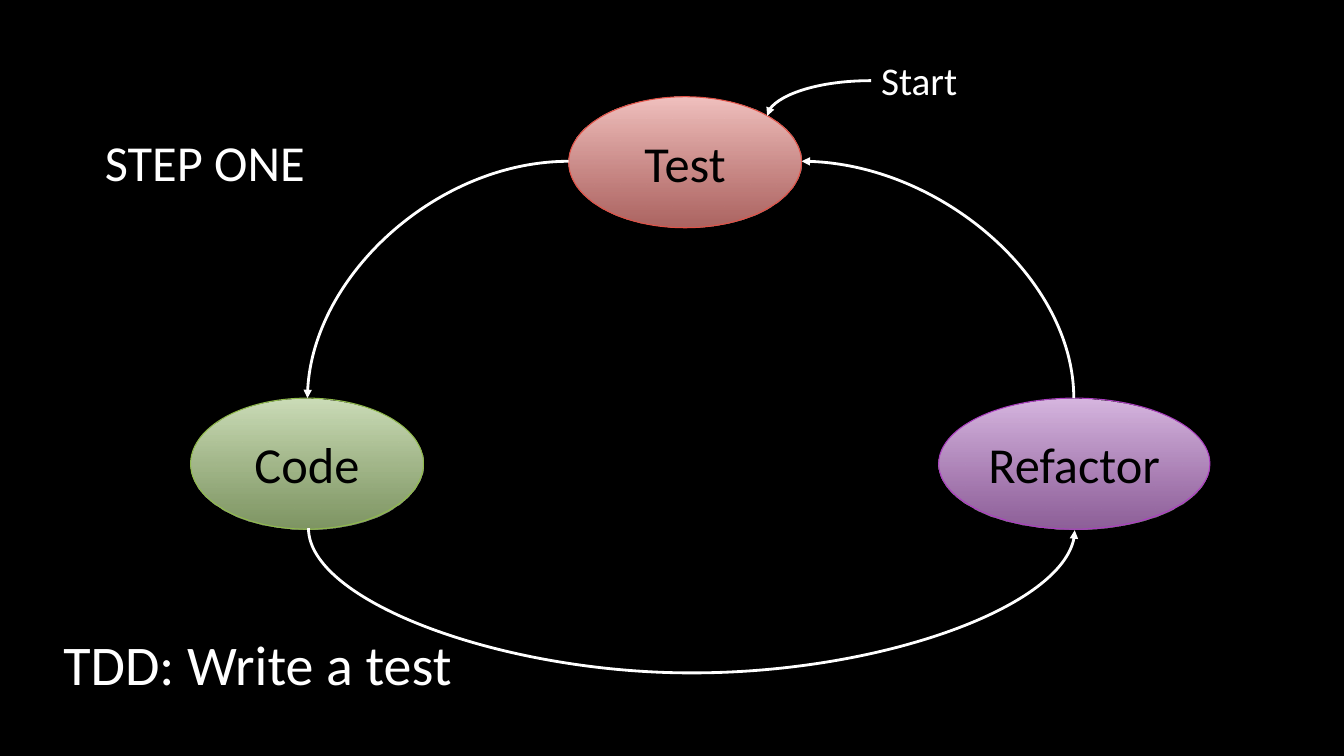
"""Build the test-code-refactor cycle slide."""
from dataclasses import dataclass

from lxml import etree
from pptx import Presentation
from pptx.dml.color import RGBColor
from pptx.enum.shapes import MSO_CONNECTOR, MSO_SHAPE
from pptx.enum.text import MSO_ANCHOR, MSO_AUTO_SIZE, PP_ALIGN
from pptx.oxml.ns import qn
from pptx.util import Inches, Pt

CURVE = MSO_CONNECTOR.CURVE
ELLIPSE = MSO_SHAPE.OVAL
MIDDLE = MSO_ANCHOR.MIDDLE
NO_FIT, GROW = MSO_AUTO_SIZE.NONE, MSO_AUTO_SIZE.SHAPE_TO_FIT_TEXT
LEFT, CENTER = PP_ALIGN.LEFT, PP_ALIGN.CENTER


@dataclass(frozen=True)
class Theme:
    """Colours, font and type sizes of the slide."""
    font: str = "Calibri"
    background: str = "000000"
    light: str = "FFFFFF"
    dark: str = "000000"
    test: tuple = ("F2C2C0", "E88985", "E25247")
    code: tuple = ("CDDEB9", "ABC987", "90BA4C")
    refactor: tuple = ("D8B7E1", "BF82CE", "AC3EC1")
    fade: str = "74000"
    step_size: int = 36
    caption_size: int = 40
    start_size: int = 28


THEME = Theme()


def rgb(value):
    """Return a colour from its hex value."""
    return RGBColor.from_string(value)


def write(frame, text, size, color=THEME.light, align=LEFT):
    """Put one formatted paragraph in a text frame."""
    paragraph = frame.paragraphs[0]
    paragraph.alignment = align
    run = paragraph.add_run()
    run.text = text
    run.font.name = THEME.font
    run.font.size = Pt(size)
    run.font.color.rgb = rgb(color)


def place_title(slide, text, box):
    """Move and fill the title placeholder."""
    title = slide.shapes.title
    title.left, title.top, title.width, title.height = map(Inches, box)
    title.text_frame.vertical_anchor = MIDDLE
    title.text_frame.auto_size = NO_FIT
    write(title.text_frame, text, THEME.step_size)


def add_label(slide, text, box, size):
    """Add a one-line text box."""
    frame = slide.shapes.add_textbox(*map(Inches, box)).text_frame
    frame.word_wrap = False
    frame.auto_size = GROW
    write(frame, text, size)


def add_stage(slide, text, box, colors):
    """Add a gradient ellipse for one stage of the cycle."""
    top_color, bottom_color, outline = colors
    stage = slide.shapes.add_shape(ELLIPSE, *map(Inches, box))
    stage.shadow.inherit = False
    stage.fill.gradient()
    stage.fill.gradient_angle = 270
    for stop, color in zip(stage.fill.gradient_stops, (top_color, bottom_color)):
        stop.color.rgb = rgb(color)
    faded = stage._element.spPr.findall(".//" + qn("a:srgbClr"))[-1]
    etree.SubElement(faded, qn("a:alpha"), val=THEME.fade)
    stage.line.color.rgb = rgb(outline)
    stage.line.width = Pt(0.75)
    stage.text_frame.vertical_anchor = MIDDLE
    write(stage.text_frame, text, THEME.step_size, color=THEME.dark, align=CENTER)


def add_curve(slide, start, end, upright=False, sag=None):
    """Add a curved arrow; upright ones leave vertically, sag is the dip of a U."""
    points = [start, end]
    if upright:
        mid_x, mid_y = (start[0] + end[0]) / 2, (start[1] + end[1]) / 2
        points = [(mid_x + mid_y - y, mid_y + x - mid_x) for x, y in points]
    (x1, y1), (x2, y2) = points
    arrow = slide.shapes.add_connector(CURVE, *map(Inches, (x1, y1, x2, y2)))
    properties = arrow._element.spPr
    if upright:
        properties.find(qn("a:xfrm")).set("rot", str(270 * 60000))
    geometry = properties.find(qn("a:prstGeom"))
    if sag is None:
        geometry.set("prst", "curvedConnector2")
    else:
        ratio = round(sag / (end[1] - start[1]) * 100000)
        guides = geometry.find(qn("a:avLst"))
        etree.SubElement(guides, qn("a:gd"), name="adj1", fmla=f"val {ratio}")
    arrow.line.color.rgb = rgb(THEME.light)
    arrow.line.width = Pt(2)
    etree.SubElement(properties.find(qn("a:ln")), qn("a:tailEnd"), type="triangle")
    etree.SubElement(properties, qn("a:effectLst"))


def main():
    """Build and save the slide."""
    deck = Presentation()
    deck.slide_width, deck.slide_height = Inches(13.33), Inches(7.5)
    slide = deck.slides.add_slide(deck.slide_layouts[5])
    slide.background.fill.solid()
    slide.background.fill.fore_color.rgb = rgb(THEME.background)

    place_title(slide, "STEP ONE", (0.94, 0.81, 10.94, 1.59))
    add_label(slide, "TDD: Write a test", (0.53, 6.2, 4.09, 0.77), THEME.caption_size)
    add_label(slide, "Start", (8.64, 0.51, 0.97, 0.57), THEME.start_size)

    add_stage(slide, "Test", (5.64, 0.96, 2.31, 1.3), THEME.test)
    add_stage(slide, "Code", (1.89, 3.95, 2.31, 1.3), THEME.code)
    add_stage(slide, "Refactor", (9.31, 3.95, 2.69, 1.3), THEME.refactor)

    add_curve(slide, (8.64, 0.8), (7.61, 1.15))
    add_curve(slide, (5.64, 1.6), (3.05, 3.95))
    add_curve(slide, (3.06, 5.24), (10.66, 5.26), upright=True, sag=1.43)
    add_curve(slide, (10.65, 3.95), (7.95, 1.6), upright=True)
    deck.save("out.pptx")


if __name__ == "__main__":
    main()
